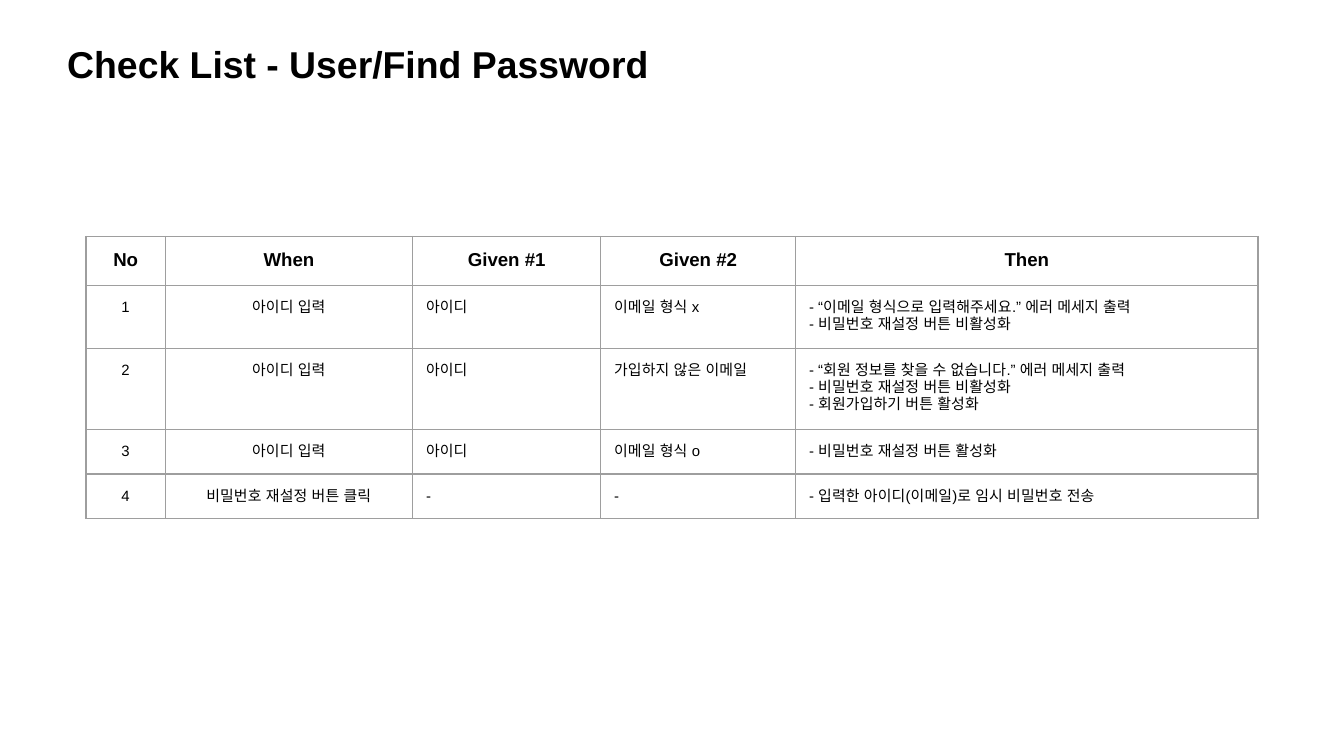
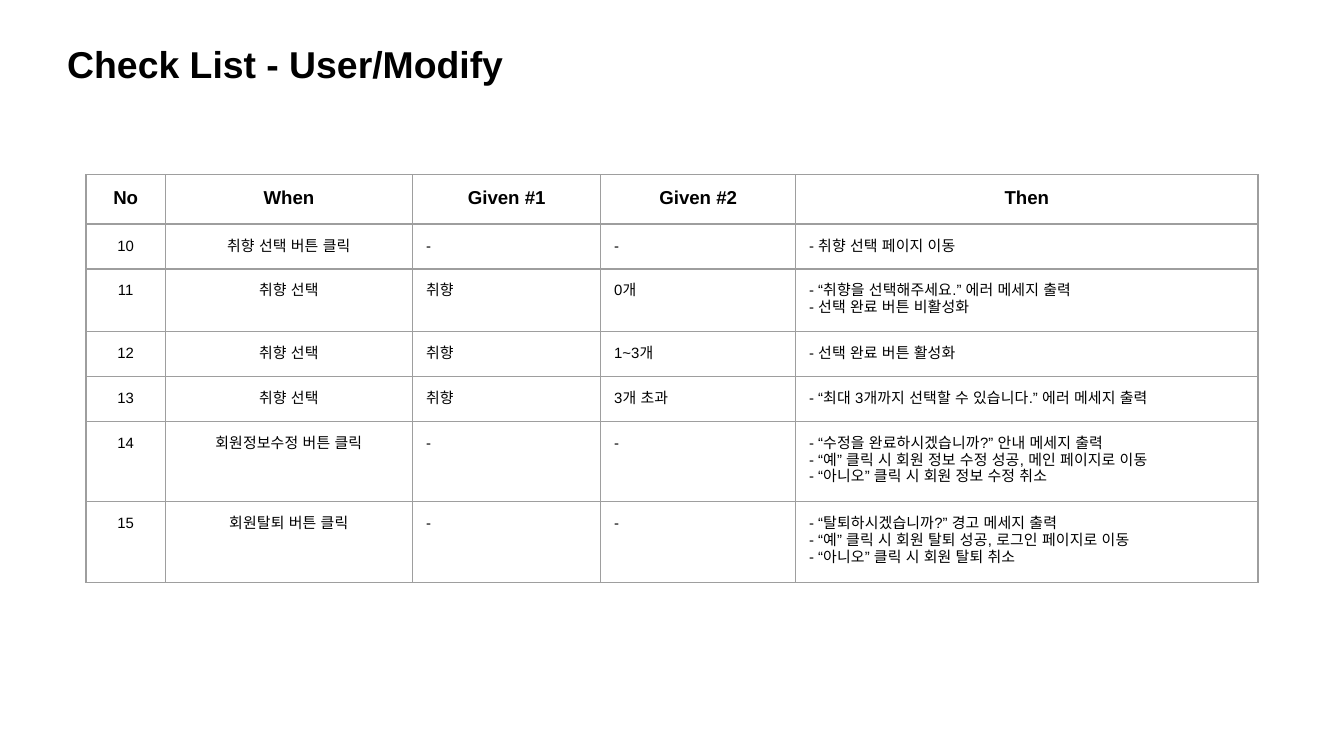
from pptx import Presentation
from pptx.dml.color import RGBColor
from pptx.enum.lang import MSO_LANGUAGE_ID as LANG
from pptx.enum.text import MSO_ANCHOR as ANCHOR, MSO_AUTO_SIZE as AUTO, PP_ALIGN as ALIGN
from pptx.oxml.ns import qn
from pptx.util import Inches, Pt
from lxml import etree

COLORS = {"text": "000000", "border": "9E9E9E", "background": "FFFFFF"}
FONT = "Arial"
INSET = Inches(0.1)
TITLE_BOX = (0.4, 0.21, 4.66, 0.54)
TABLE_LEFT = 0.64
COLUMN_WIDTHS = [0.59, 1.84, 1.4, 1.45, 3.44]
ROW_HEIGHT = 0.31
CENTERED_COLUMNS = 2
HEADER = ("No", "When", "Given #1", "Given #2", "Then")

# Each checklist: title, table top, rows
CHECKLISTS = [
    ("Check List - User/Find Password", 1.76, [
        ("1", "아이디 입력", "아이디", "이메일 형식 x",
         "- “이메일 형식으로 입력해주세요.” 에러 메세지 출력\n"
         "- 비밀번호 재설정 버튼 비활성화"),
        ("2", "아이디 입력", "아이디", "가입하지 않은 이메일",
         "- “회원 정보를 찾을 수 없습니다.” 에러 메세지 출력\n"
         "- 비밀번호 재설정 버튼 비활성화\n"
         "- 회원가입하기 버튼 활성화"),
        ("3", "아이디 입력", "아이디", "이메일 형식 o",
         "- 비밀번호 재설정 버튼 활성화"),
        ("4", "비밀번호 재설정 버튼 클릭", "-", "-",
         "- 입력한 아이디(이메일)로 임시 비밀번호 전송"),
    ]),
    ("Check List - User/Modify", 1.3, [
        ("10", "취향 선택 버튼 클릭", "-", "-", "- 취향 선택 페이지 이동"),
        ("11", "취향 선택", "취향", "0개",
         "- “취향을 선택해주세요.” 에러 메세지 출력\n"
         "- 선택 완료 버튼 비활성화"),
        ("12", "취향 선택", "취향", "1~3개", "- 선택 완료 버튼 활성화"),
        ("13", "취향 선택", "취향", "3개 초과",
         "- “최대 3개까지 선택할 수 있습니다.” 에러 메세지 출력"),
        ("14", "회원정보수정 버튼 클릭", "-", "-",
         "- “수정을 완료하시겠습니까?” 안내 메세지 출력\n"
         "- “예” 클릭 시 회원 정보 수정 성공, 메인 페이지로 이동\n"
         "- “아니오” 클릭 시 회원 정보 수정 취소"),
        ("15", "회원탈퇴 버튼 클릭", "-", "-",
         "- “탈퇴하시겠습니까?” 경고 메세지 출력\n"
         "- “예” 클릭 시 회원 탈퇴 성공, 로그인 페이지로 이동\n"
         "- “아니오” 클릭 시 회원 탈퇴 취소"),
    ]),
]


def rgb(name):
    return RGBColor.from_string(COLORS[name])


def set_insets(obj):
    obj.margin_left = obj.margin_right = INSET
    obj.margin_top = obj.margin_bottom = INSET


def write_text(tf, text, size, bold=False, align=ALIGN.LEFT):
    """Write one paragraph per line of text."""
    for i, line in enumerate(text.split("\n")):
        p = tf.paragraphs[0] if i == 0 else tf.add_paragraph()
        p.alignment = align
        r = p.add_run()
        r.text = line
        r.font.name, r.font.size, r.font.bold = FONT, Pt(size), bold
        r.font.color.rgb = rgb("text")
        r.font.language_id = LANG.KOREAN
        # East Asian and complex text take the same font
        for tag in ("a:ea", "a:cs"):
            etree.SubElement(r.font._element, qn(tag), typeface=FONT)


def add_title(s, text):
    sp = s.shapes.title
    sp.left, sp.top, sp.width, sp.height = map(Inches, TITLE_BOX)
    tf = sp.text_frame
    tf.word_wrap = True
    tf.auto_size = AUTO.SHAPE_TO_FIT_TEXT
    tf.vertical_anchor = ANCHOR.TOP
    set_insets(tf)
    write_text(tf, text, 20, bold=True)


def set_borders(cell):
    tc_pr = cell._tc.get_or_add_tcPr()
    for side in ("lnL", "lnR", "lnT", "lnB"):
        ln = etree.SubElement(tc_pr, qn(f"a:{side}"), w=str(Pt(0.75)))
        fill = etree.SubElement(ln, qn("a:solidFill"))
        etree.SubElement(fill, qn("a:srgbClr"), val=COLORS["border"])


def add_checklist(s, top, rows):
    rows = [HEADER, *rows]
    table = s.shapes.add_table(
        len(rows), len(HEADER), Inches(TABLE_LEFT), Inches(top),
        Inches(sum(COLUMN_WIDTHS)), Inches(ROW_HEIGHT * len(rows))).table
    table.first_row = table.horz_banding = False
    for column, width in zip(table.columns, COLUMN_WIDTHS):
        column.width = Inches(width)
    for i, row in enumerate(rows):
        table.rows[i].height = Inches(ROW_HEIGHT)
        is_header = i == 0
        for j, text in enumerate(row):
            cell = table.cell(i, j)
            set_insets(cell)
            set_borders(cell)
            cell.fill.background()
            centered = is_header or j < CENTERED_COLUMNS
            write_text(cell.text_frame, text, 10 if is_header else 8, is_header,
                       ALIGN.CENTER if centered else ALIGN.LEFT)


def main():
    prs = Presentation()
    # Widescreen, 16:9
    prs.slide_width = Inches(10)
    prs.slide_height = prs.slide_width * 9 // 16
    # Shared background
    background = prs.slide_master.background.fill
    background.solid()
    background.fore_color.rgb = rgb("background")

    # One slide per checklist
    for title, top, rows in CHECKLISTS:
        s = prs.slides.add_slide(prs.slide_layouts.get_by_name("Title Only"))
        add_title(s, title)
        add_checklist(s, top, rows)
    prs.save("out.pptx")


if __name__ == "__main__":
    main()
